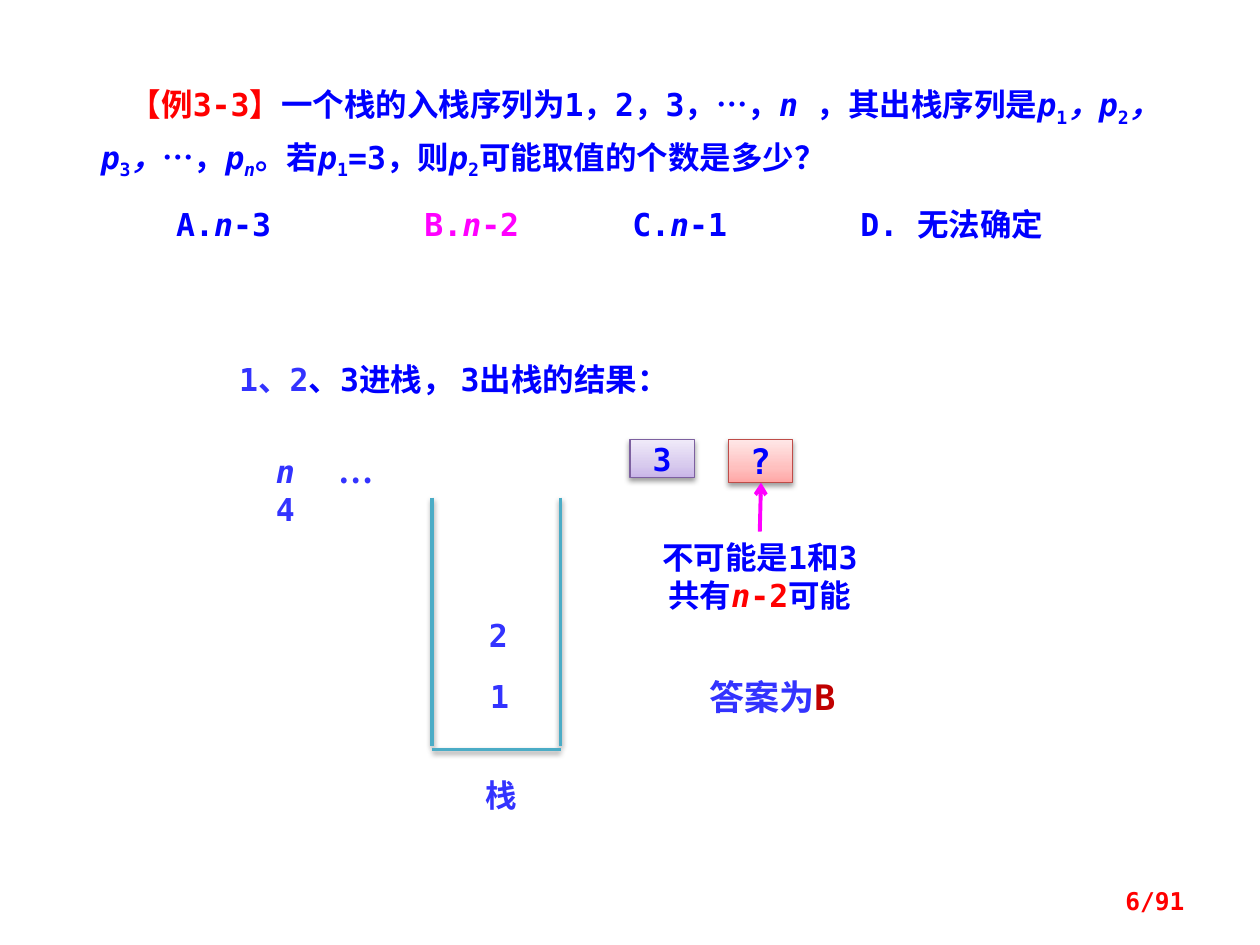
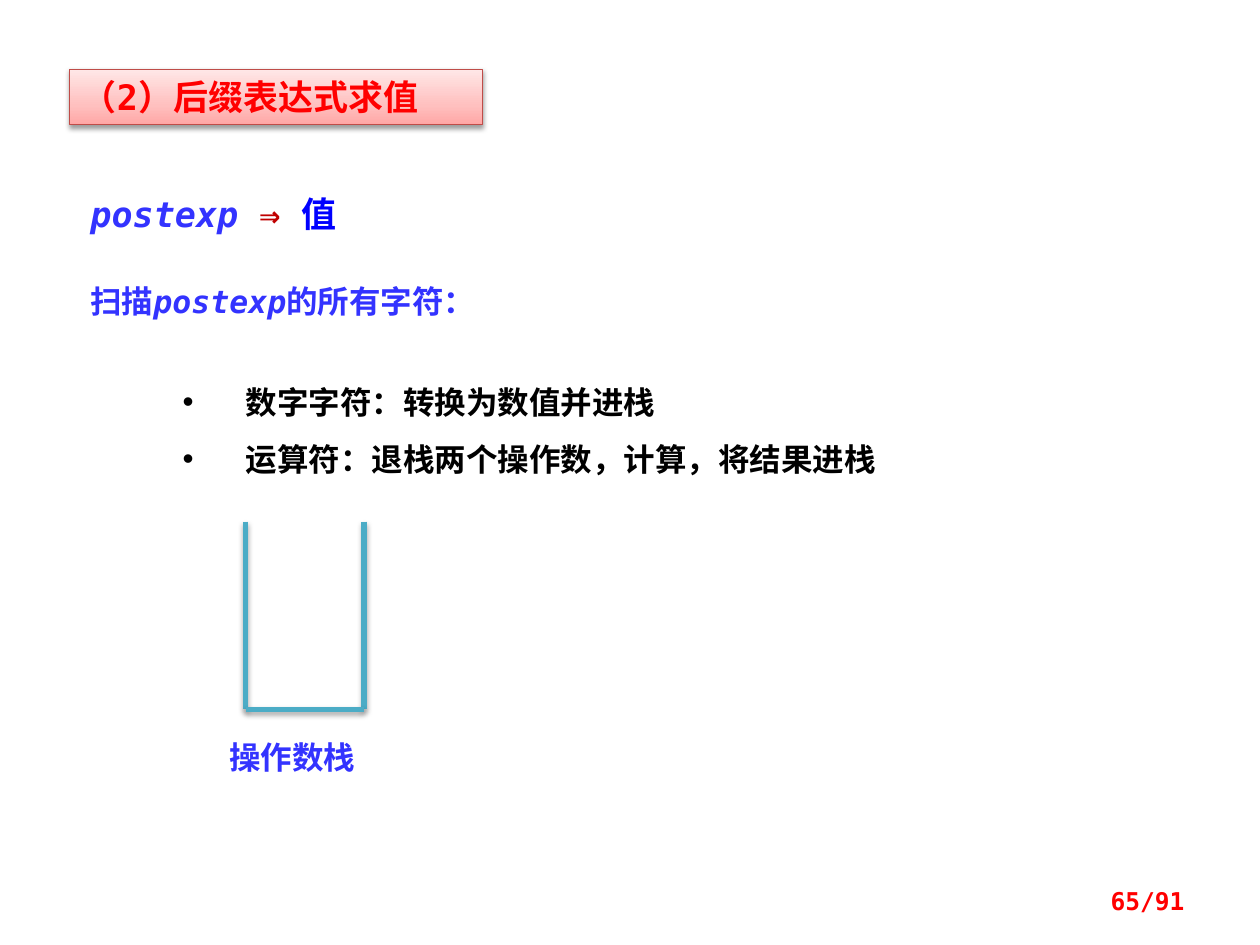
import copy
from dataclasses import dataclass
from typing import NamedTuple, Optional

import pptx
import pptx.dml.color
import pptx.enum.shapes
import pptx.enum.text
import pptx.oxml
import pptx.oxml.ns
import pptx.util
from lxml import etree

Inches = pptx.util.Inches
Pt = pptx.util.Pt
qn = pptx.oxml.ns.qn
ALIGN = pptx.enum.text.PP_ALIGN
ANCHOR = pptx.enum.text.MSO_ANCHOR

# Shared look
COLORS = {
    "violet_blue": "3333FF", "blue": "0000FF", "red": "FF0000", "dark_red": "C00000",
    "magenta": "FF00FF", "teal": "4BACC6", "black": "000000", "white": "FFFFFF",
    "pink_line": "BF4C48", "purple_line": "7D60A0",
}
GRADIENTS = {
    "pink": ("FFA6A5", "FFC0BF", "FFE7E7"),
    "purple": ("C9B5E8", "D8CBEE", "F0EAF9"),
}
GRADIENT_POSITIONS = (0, 0.35, 1)
MONO = "DejaVu Sans Mono"
CJK = "Noto Sans CJK SC"
TIGHT = (0, 0, 0, 0)
NORMAL = (0.1, 0.05, 0.1, 0.05)
PAGE_COUNT = 91


class Span(NamedTuple):
    text: str
    color: str = "violet_blue"
    italic: bool = False
    subscript: bool = False
    font: str = MONO


class Box(NamedTuple):
    left: float
    top: float
    width: float
    height: float


@dataclass
class Line:
    spans: list[Span]
    align: ALIGN = ALIGN.LEFT
    margin: float = 0
    indent: float = 0
    bullet: str = ""
    spacing: Optional[object] = None


@dataclass
class Stack:
    left: float
    right: float
    top: float
    side_bottom: float
    base: float
    weight: float
    shadow_opacity: int
    shadow_distance: float


def rgb(name: str) -> pptx.dml.color.RGBColor:
    return pptx.dml.color.RGBColor.from_string(COLORS.get(name, name))


# Text
def add_text(paragraph, text: str, *, size: float = 18, color: str = "violet_blue",
             italic: bool = False, subscript: bool = False, font: str = MONO) -> None:
    if text == "\n":
        paragraph.add_line_break()
        return
    run = paragraph.add_run()
    run.text = text
    run.font.size = Pt(size)
    run.font.bold = True
    run.font.italic = italic
    run.font.color.rgb = rgb(color)
    run.font.name = font
    properties = run._r.get_or_add_rPr()
    etree.SubElement(properties, qn("a:ea")).set("typeface", CJK)
    if subscript:
        properties.set("baseline", "-25000")


def format_line(paragraph, line: Line) -> None:
    properties = paragraph._p.get_or_add_pPr()
    properties.set("marL", str(Inches(line.margin)))
    properties.set("indent", str(Inches(line.indent)))
    if line.bullet:
        etree.SubElement(properties, qn("a:buChar")).set("char", line.bullet)
    paragraph.alignment = line.align
    paragraph.space_before = Pt(0)
    if line.spacing:
        paragraph.line_spacing = line.spacing


def fill_text(shape, lines: list[Line], *, size: float = 18, insets=NORMAL,
              anchor=ANCHOR.TOP, grow: bool = True) -> None:
    frame = shape.text_frame
    frame.word_wrap = True
    frame.vertical_anchor = anchor
    sizing = pptx.enum.text.MSO_AUTO_SIZE
    frame.auto_size = sizing.SHAPE_TO_FIT_TEXT if grow else sizing.NONE
    (frame.margin_left, frame.margin_top,
     frame.margin_right, frame.margin_bottom) = map(Inches, insets)
    for index, line in enumerate(lines):
        paragraph = frame.add_paragraph() if index else frame.paragraphs[0]
        format_line(paragraph, line)
        for span in line.spans:
            add_text(paragraph, size=size, **span._asdict())


def place(shape, box: Box) -> None:
    shape.left, shape.top, shape.width, shape.height = map(Inches, box)


def add_label(slide, box: Box, lines: list[Line], **options) -> None:
    fill_text(slide.shapes.add_textbox(*map(Inches, box)), lines, **options)


def term(index: str, before: str = "", italic_index: bool = False) -> list[Span]:
    return [Span(before + "p", "blue", True), Span(index, "blue", italic_index, True)]


# Shapes
def add_shadow(shape, opacity: int = 38, distance: float = 1.6) -> None:
    effects = etree.SubElement(shape._element.spPr, qn("a:effectLst"))
    shadow = etree.SubElement(effects, qn("a:outerShdw"), blurRad=str(Pt(3.1)),
                              dist=str(Pt(distance)), dir="5400000", rotWithShape="0")
    color = etree.SubElement(shadow, qn("a:srgbClr"), val=COLORS["black"])
    etree.SubElement(color, qn("a:alpha"), val=str(opacity * 1000))


def style_card(shape, tint: str) -> None:
    shape.fill.gradient()
    shape.fill.gradient_angle = 90
    stop_list = shape._element.spPr.find(".//" + qn("a:gsLst"))
    stop_list.append(copy.deepcopy(stop_list[0]))
    for stop, color, position in zip(shape.fill.gradient_stops, GRADIENTS[tint],
                                     GRADIENT_POSITIONS):
        stop.color.rgb = rgb(color)
        stop.position = position
    shape.line.color.rgb = rgb(f"{tint}_line")
    shape.line.width = Pt(0.75)
    add_shadow(shape)


def add_card(slide, box: Box, text: str, tint: str, size: float) -> None:
    card = slide.shapes.add_shape(pptx.enum.shapes.MSO_SHAPE.RECTANGLE, *map(Inches, box))
    style_card(card, tint)
    fill_text(card, [Line([Span(text, "blue")], ALIGN.CENTER)], size=size, insets=TIGHT)


def add_line(slide, start, end, color: str, weight: float):
    connector = slide.shapes.add_connector(
        pptx.enum.shapes.MSO_CONNECTOR.STRAIGHT, *map(Inches, (*start, *end)))
    connector.line.color.rgb = rgb(color)
    connector.line.width = Pt(weight)
    return connector


def add_arrow(slide, start, end) -> None:
    arrow = add_line(slide, start, end, "magenta", 2.25)
    etree.SubElement(arrow.line._get_or_add_ln(), qn("a:tailEnd"), type="arrow")
    etree.SubElement(arrow._element.spPr, qn("a:effectLst"))


def add_stack(slide, stack: Stack) -> None:
    walls = [((x, stack.top), (x, stack.side_bottom)) for x in (stack.left, stack.right)]
    floor = ((stack.left, stack.base), (stack.right, stack.base))
    for start, end in (*walls, floor):
        edge = add_line(slide, start, end, "teal", stack.weight)
        add_shadow(edge, stack.shadow_opacity, stack.shadow_distance)


def add_page_number(slide, number: int) -> None:
    add_label(slide, Box(7.17, 6.95, 2.33, 0.4),
              [Line([Span(f"{number}/{PAGE_COUNT}", "red")], ALIGN.RIGHT)],
              size=14, anchor=ANCHOR.MIDDLE, grow=False)


# Slide: stack sequence question
def build_question(presentation) -> None:
    slide = presentation.slides.add_slide(presentation.slide_layouts[5])
    question = [
        Span("【例3-3】", "red"), Span("一个栈的入栈序列为1，2，3，", "blue"),
        Span("…", "blue", font=CJK), Span("，", "blue"), Span("n ", "blue", True),
        Span("，其出栈序列是", "blue"),
        *term("1"), *term("2", "，"), *term("3", "，"), Span("，", "blue", True),
        Span("…", "blue", font=CJK), Span("，", "blue"), *term("n", italic_index=True),
        Span("。若", "blue"), *term("1"), Span("=3，则", "blue"), *term("2"),
        Span("可能取值的个数是多少？", "blue"),
    ]
    place(slide.shapes.title, Box(0.7, 0.55, 8.75, 0.95))
    fill_text(slide.shapes.title, [Line(question, indent=0.23, spacing=Pt(30))], grow=False)

    # Answer choices, the right one in magenta
    for left, letter, offset, color in ((1.3, "A", "-3", "blue"), (3.27, "B", "-2", "magenta"),
                                        (4.92, "C", "-1", "blue")):
        choice = [Span(f"{letter}.", color), Span("n", color, True), Span(offset, color)]
        add_label(slide, Box(left, 1.58, 1.2, 0.4), [Line(choice)])
    add_label(slide, Box(6.73, 1.58, 2, 0.4), [Line([Span("D. 无法确定", "blue")])])

    # Stack with its contents and the waiting input
    add_stack(slide, Stack(3.43, 4.45, 3.95, 5.92, 5.95, 2, 38, 1.6))
    for text, box, font in (("栈", Box(3.74, 6.16, 0.47, 0.3), CJK),
                            ("1", Box(3.71, 5.37, 0.51, 0.3), MONO),
                            ("2", Box(3.7, 4.89, 0.51, 0.3), MONO)):
        add_label(slide, box, [Line([Span(text, font=font)], ALIGN.CENTER)], insets=TIGHT)
    waiting = [Span("n\t", italic=True), Span("…", font=CJK), Span("\n"), Span("4")]
    add_label(slide, Box(2.19, 3.59, 1.25, 0.3), [Line(waiting)], insets=TIGHT)

    # Output sequence and explanation
    add_card(slide, Box(5, 3.49, 0.51, 0.3), "3", "purple", 18)
    add_card(slide, Box(5.78, 3.49, 0.51, 0.34), "?", "pink", 20)
    add_label(slide, Box(4.82, 4.22, 2.42, 0.71), [
        Line([Span("不可能是1和3", "blue")], ALIGN.CENTER),
        Line([Span("共有", "blue"), Span("n", "red", True), Span("-2", "red"),
              Span("可能", "blue")], ALIGN.CENTER)])
    add_arrow(slide, (6.03, 4.22), (6.04, 3.83))
    add_label(slide, Box(1.8, 2.81, 4.38, 0.4),
              [Line([Span("1、2"), Span("、3进栈， 3出栈的结果：", "blue")])])
    add_label(slide, Box(5.39, 5.31, 1.48, 0.44),
              [Line([Span("答案为"), Span("B", "dark_red")], ALIGN.CENTER)], size=20)
    add_page_number(slide, 6)


# Slide: postfix evaluation
def build_postfix(presentation) -> None:
    slide = presentation.slides.add_slide(presentation.slide_layouts[1])
    title, rules = slide.placeholders
    place(title, Box(0.55, 0.55, 3.28, 0.44))
    style_card(title, "pink")
    fill_text(title, [Line([Span("（2）后缀表达式求值", "red")])], size=20, grow=False)

    place(rules, Box(1.25, 2.81, 6.25, 1.15))
    rules.fill.solid()
    rules.fill.fore_color.rgb = rgb("white")
    rule_texts = ("数字字符：转换为数值并进栈", "运算符：退栈两个操作数，计算，将结果进栈")
    fill_text(rules, [Line([Span(text, "black")], margin=0.5, indent=-0.5, bullet="•",
                           spacing=1.5) for text in rule_texts],
              insets=(0.2, 0.08, 0.1, 0.16), grow=False)

    add_label(slide, Box(0.62, 1.48, 2.73, 0.44),
              [Line([Span("postexp ", italic=True), Span("⇒ ", "dark_red"),
                     Span("值", "blue")])], size=20)
    add_label(slide, Box(0.62, 2.19, 3.67, 0.4),
              [Line([Span("扫描"), Span("postexp", italic=True), Span("的所有字符：")])])

    # Operand stack
    add_stack(slide, Stack(1.95, 2.89, 4.14, 5.63, 5.63, 3, 35, 1.8))
    add_label(slide, Box(1.72, 5.81, 1.48, 0.4), [Line([Span("操作数栈", font=CJK)])])
    add_page_number(slide, 65)


def main() -> None:
    presentation = pptx.Presentation()
    presentation.slide_width = Inches(10)
    presentation.slide_height = Inches(7.5)
    build_question(presentation)
    build_postfix(presentation)
    presentation.save("out.pptx")


if __name__ == "__main__":
    main()
